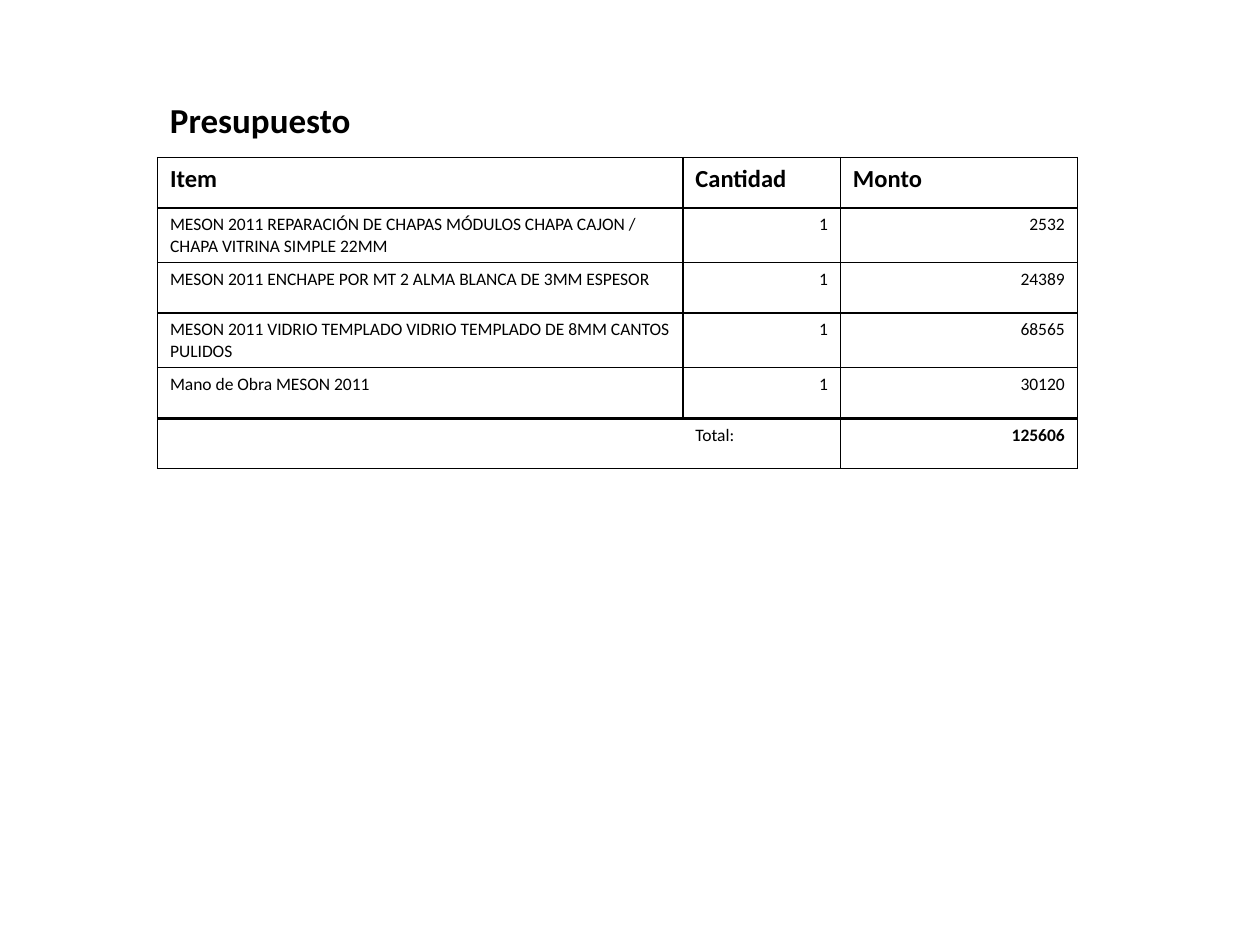
from lxml import etree
from pptx import Presentation
from pptx.dml.color import RGBColor
from pptx.enum import text
from pptx.oxml import ns
from pptx.util import Inches, Pt

BLACK, WHITE = "000000", "FFFFFF"


def style_font(paragraph, size, bold=False):
    font = paragraph.font
    font.name, font.size, font.bold = "Calibri", Pt(size), bold
    font.color.rgb = RGBColor.from_string(BLACK)


def add_border(cell, side, width):
    """Draw one side (L, R, T or B) of a cell; a width of 0 hides it."""
    properties = cell._tc.get_or_add_tcPr()
    line = etree.SubElement(properties, ns.qn(f"a:ln{side}"), w=str(Pt(width)))
    if width:
        fill = etree.SubElement(line, ns.qn("a:solidFill"))
        etree.SubElement(fill, ns.qn("a:srgbClr"), val=BLACK)
    else:
        etree.SubElement(line, ns.qn("a:noFill"))


presentation = Presentation()
presentation.slide_width, presentation.slide_height = Inches(10), Inches(7.5)
slide = presentation.slides.add_slide(presentation.slide_layouts[6])

title = slide.shapes.add_textbox(Inches(1.25), Inches(0.73), Inches(6.25), Inches(0.44))
title.text_frame.word_wrap = True
title.text_frame.text = "Presupuesto"
style_font(title.text_frame.paragraphs[0], 20, bold=True)

rows = [
    ("Item", "Cantidad", "Monto"),
    ("MESON 2011 REPARACIÓN DE CHAPAS MÓDULOS CHAPA CAJON / CHAPA VITRINA SIMPLE 22MM", "1", "2532"),
    ("MESON 2011 ENCHAPE POR MT 2 ALMA BLANCA DE 3MM ESPESOR", "1", "24389"),
    ("MESON 2011 VIDRIO TEMPLADO VIDRIO TEMPLADO DE 8MM CANTOS PULIDOS", "1", "68565"),
    ("Mano de Obra MESON 2011", "1", "30120"),
    ("", "Total:", "125606"),
]
column_widths = [4.17, 1.25, 1.88]
row_height = 0.4
total_row = len(rows) - 1

frame = slide.shapes.add_table(
    len(rows), len(column_widths), Inches(1.25), Inches(1.25),
    Inches(sum(column_widths)), Inches(row_height * len(rows)))
table = frame.table
table.first_row = table.horz_banding = False
for column, width in zip(table.columns, column_widths):
    column.width = Inches(width)

for row_index, values in enumerate(rows):
    table.rows[row_index].height = Inches(row_height)
    is_header, is_total = row_index == 0, row_index == total_row
    for column_index, value in enumerate(values):
        cell = table.cell(row_index, column_index)
        cell.text = value
        paragraph = cell.text_frame.paragraphs[0]
        style_font(paragraph, 14 if is_header else 10,
                   bold=is_header or (is_total and column_index == 2))
        if value.isdigit():
            paragraph.alignment = text.PP_ALIGN.RIGHT

        # The total label shares an open cell edge with the blank cell beside it
        add_border(cell, "L", 0 if is_total and column_index == 1 else 1)
        add_border(cell, "R", 0 if is_total and column_index == 0 else 1)
        add_border(cell, "T", 2 if is_total else 1)
        add_border(cell, "B", 2 if row_index == total_row - 1 else 1)
        if is_total:
            cell.fill.background()
        else:
            cell.fill.solid()
            cell.fill.fore_color.rgb = RGBColor.from_string(WHITE)

presentation.save("out.pptx")
